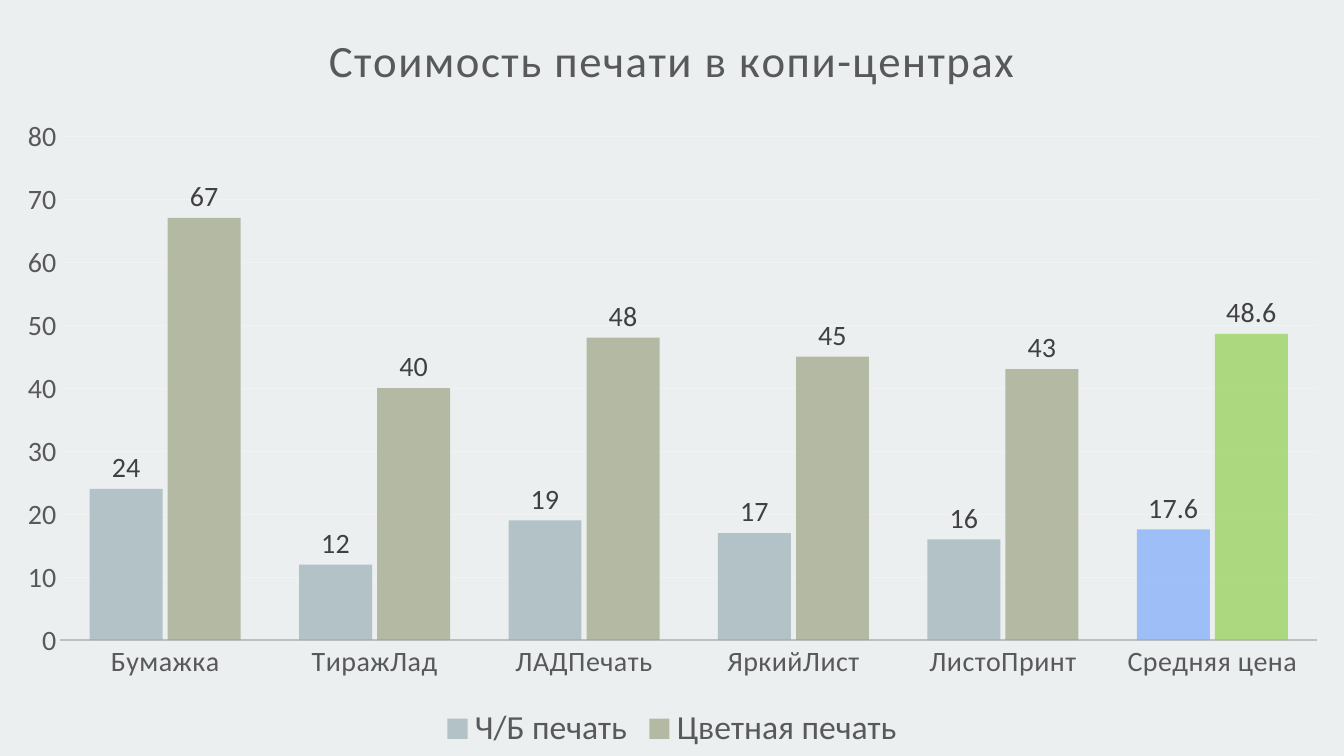
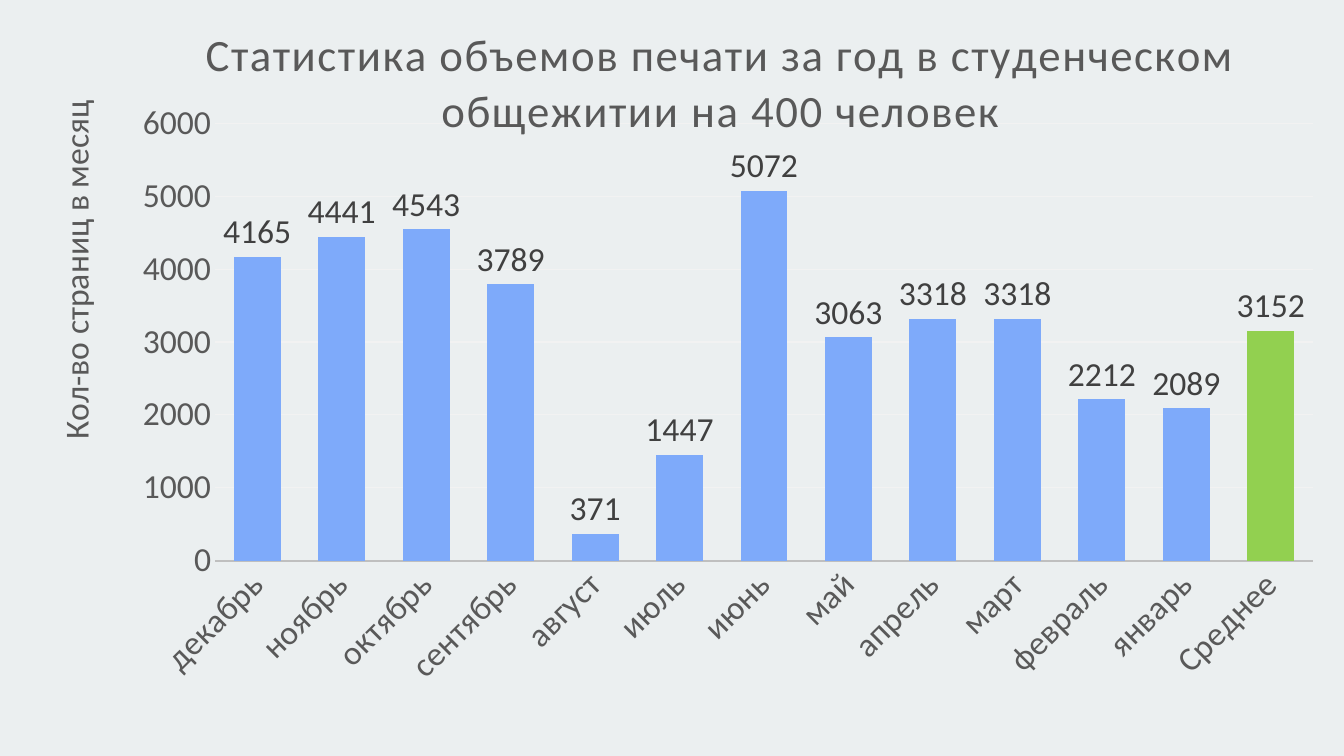
import dataclasses

import lxml.etree
import pptx
import pptx.chart.axis
import pptx.chart.chart
import pptx.chart.data
import pptx.dml.color
import pptx.enum.chart
import pptx.oxml.ns
import pptx.presentation
import pptx.util

SLIDE_WIDTH = pptx.util.Cm(33.87)
SLIDE_HEIGHT = pptx.util.Cm(19.05)
FONT = "Calibri"
BACKGROUND = "EBEFF0"
TEXT = "595959"
LABEL = "404040"
AXIS_LINE = "BFBFBF"
GRID = "F2F2F2"
GRAY_BLUE = "9BAFB5"
OLIVE = "9CA383"
BLUE = "7EAAFA"
GREEN = "92D050"
TITLE_SIZE = 32
LARGE_SIZE = 24
GAP_WIDTH = 80


@dataclasses.dataclass(frozen=True)
class Series:
    name: str
    values: tuple[float, ...]
    color: str
    average_color: str


@dataclasses.dataclass(frozen=True)
class ColumnChart:
    """Positions and the plot box are fractions of the chart size."""
    title: str
    categories: tuple[str, ...]
    series: tuple[Series, ...]
    font_size: int
    maximum: int
    step: int
    overlap: int
    plot_box: tuple[float, float, float, float]
    title_position: tuple[float, float] | None = None
    value_title: str = ""
    value_title_position: tuple[float, float] | None = None
    label_rotation: int = 0
    opacity: int = 100
    legend: bool = False


CHARTS = (
    ColumnChart(
        title="Стоимость печати в копи-центрах",
        categories=("Бумажка", "ТиражЛад", "ЛАДПечать", "ЯркийЛист", "ЛистоПринт",
                    "Средняя цена"),
        series=(
            Series("Ч/Б печать", (24, 12, 19, 17, 16, 17.6), GRAY_BLUE, BLUE),
            Series("Цветная печать", (67, 40, 48, 45, 43, 48.6), OLIVE, GREEN),
        ),
        font_size=20,
        maximum=80,
        step=10,
        overlap=-7,
        plot_box=(0.045, 0.18, 0.935, 0.667),
        opacity=70,
        legend=True,
    ),
    ColumnChart(
        title="Статистика объемов печати за год в студенческом общежитии на 400 человек",
        categories=("декабрь", "ноябрь", "октябрь", "сентябрь", "август", "июль", "июнь",
                    "май", "апрель", "март", "февраль", "январь", "Среднее"),
        series=(
            Series("Series 1", (4165, 4441, 4543, 3789, 371, 1447, 5072, 3063, 3318, 3318,
                                2212, 2089, 3152), BLUE, GREEN),
        ),
        font_size=LARGE_SIZE,
        maximum=6000,
        step=1000,
        overlap=25,
        plot_box=(0.16, 0.163, 0.817, 0.579),
        title_position=(0.147, 0.02),
        value_title="Кол-во страниц в месяц",
        value_title_position=(0.035, 0.125),
        label_rotation=-45,
    ),
)


def rgb(value: str) -> pptx.dml.color.RGBColor:
    return pptx.dml.color.RGBColor.from_string(value)


def format_font(font, size: int, color: str = TEXT) -> None:
    font.name = FONT
    font.size = pptx.util.Pt(size)
    font.bold = False
    font.color.rgb = rgb(color)


def format_line(line, color: str, width: float) -> None:
    line.color.rgb = rgb(color)
    line.width = pptx.util.Pt(width)


def set_layout(parent, index: int, inner: bool = False, **fractions: float) -> None:
    """Place a chart part by fractions of the chart size (x, y, w, h)."""
    name = pptx.oxml.ns.qn
    for old in parent.findall(name("c:layout")):
        parent.remove(old)
    layout = lxml.etree.Element(name("c:layout"))
    parent.insert(index, layout)
    manual = lxml.etree.SubElement(layout, name("c:manualLayout"))
    settings = [("layoutTarget", "inner")] if inner else []
    settings += [("xMode", "edge"), ("yMode", "edge")]
    settings += [(key, str(value)) for key, value in fractions.items()]
    for key, value in settings:
        lxml.etree.SubElement(manual, name(f"c:{key}")).set("val", value)


def write_title(title, text: str, *, size: int, spacing: int = 0, rotation: int = 0,
                position: tuple[float, float] | None = None) -> None:
    run = title.text_frame.paragraphs[0].add_run()
    run.text = text
    format_font(run.font, size)
    for properties in title.element.xpath(".//a:rPr"):
        properties.set("spc", str(spacing))
    for body in title.element.xpath(".//a:bodyPr"):
        body.set("rot", str(rotation * 60000))
    if position:
        set_layout(title.element, 1, x=position[0], y=position[1])


def format_axes(chart: pptx.chart.chart.Chart, content: ColumnChart) -> None:
    for axis in (chart.category_axis, chart.value_axis):
        axis.major_tick_mark = pptx.enum.chart.XL_TICK_MARK.NONE
        axis.minor_tick_mark = pptx.enum.chart.XL_TICK_MARK.NONE
        format_font(axis.tick_labels.font, content.font_size)
    format_line(chart.category_axis.format.line, AXIS_LINE, 1.25)
    category_text = chart.element.xpath(".//c:catAx/c:txPr")[0]
    category_text.xpath("a:bodyPr")[0].set("rot", str(content.label_rotation * 60000))
    category_text.xpath(".//a:defRPr")[0].set("spc", "20")

    value_axis = chart.value_axis
    value_axis.minimum_scale = 0
    value_axis.maximum_scale = content.maximum
    value_axis.major_unit = content.step
    value_axis.format.line.fill.background()
    format_line(value_axis.major_gridlines.format.line, GRID, 0.75)
    if content.value_title:
        write_title(value_axis.axis_title, content.value_title, size=LARGE_SIZE,
                    rotation=-90, position=content.value_title_position)


def format_columns(chart: pptx.chart.chart.Chart, content: ColumnChart) -> None:
    plot = chart.plots[0]
    plot.gap_width = GAP_WIDTH
    plot.overlap = content.overlap
    plot.vary_by_categories = False
    for series, drawn in zip(content.series, plot.series):
        average = drawn.points[len(series.values) - 1]
        for columns, color in ((drawn, series.color), (average, series.average_color)):
            columns.format.fill.solid()
            columns.format.fill.fore_color.rgb = rgb(color)
        labels = drawn.data_labels
        labels.show_value = True
        labels.position = pptx.enum.chart.XL_LABEL_POSITION.OUTSIDE_END
        format_font(labels.font, content.font_size, LABEL)
    if content.opacity < 100:
        for color in chart.element.xpath(".//c:ser//c:spPr/a:solidFill/a:srgbClr"):
            alpha = lxml.etree.SubElement(color, pptx.oxml.ns.qn("a:alpha"))
            alpha.set("val", str(content.opacity * 1000))


def add_chart_slide(presentation: pptx.presentation.Presentation,
                    content: ColumnChart) -> None:
    slide = presentation.slides.add_slide(presentation.slide_layouts.get_by_name("Blank"))
    data = pptx.chart.data.CategoryChartData()
    data.categories = content.categories
    for series in content.series:
        data.add_series(series.name, series.values)
    chart = slide.shapes.add_chart(
        pptx.enum.chart.XL_CHART_TYPE.COLUMN_CLUSTERED,
        0, 0, SLIDE_WIDTH, SLIDE_HEIGHT, data).chart

    write_title(chart.chart_title, content.title, size=TITLE_SIZE, spacing=100,
                position=content.title_position)
    format_axes(chart, content)
    format_columns(chart, content)
    set_layout(chart.element.xpath(".//c:plotArea")[0], 0, inner=True,
               **dict(zip("xywh", content.plot_box)))
    chart.has_legend = content.legend
    if content.legend:
        chart.legend.position = pptx.enum.chart.XL_LEGEND_POSITION.BOTTOM
        chart.legend.include_in_layout = False
        format_font(chart.legend.font, LARGE_SIZE)


def main() -> None:
    presentation = pptx.Presentation()
    presentation.slide_width = SLIDE_WIDTH
    presentation.slide_height = SLIDE_HEIGHT
    background = presentation.slide_master.background.fill
    background.solid()
    background.fore_color.rgb = rgb(BACKGROUND)
    for content in CHARTS:
        add_chart_slide(presentation, content)
    presentation.save("out.pptx")


if __name__ == "__main__":
    main()
